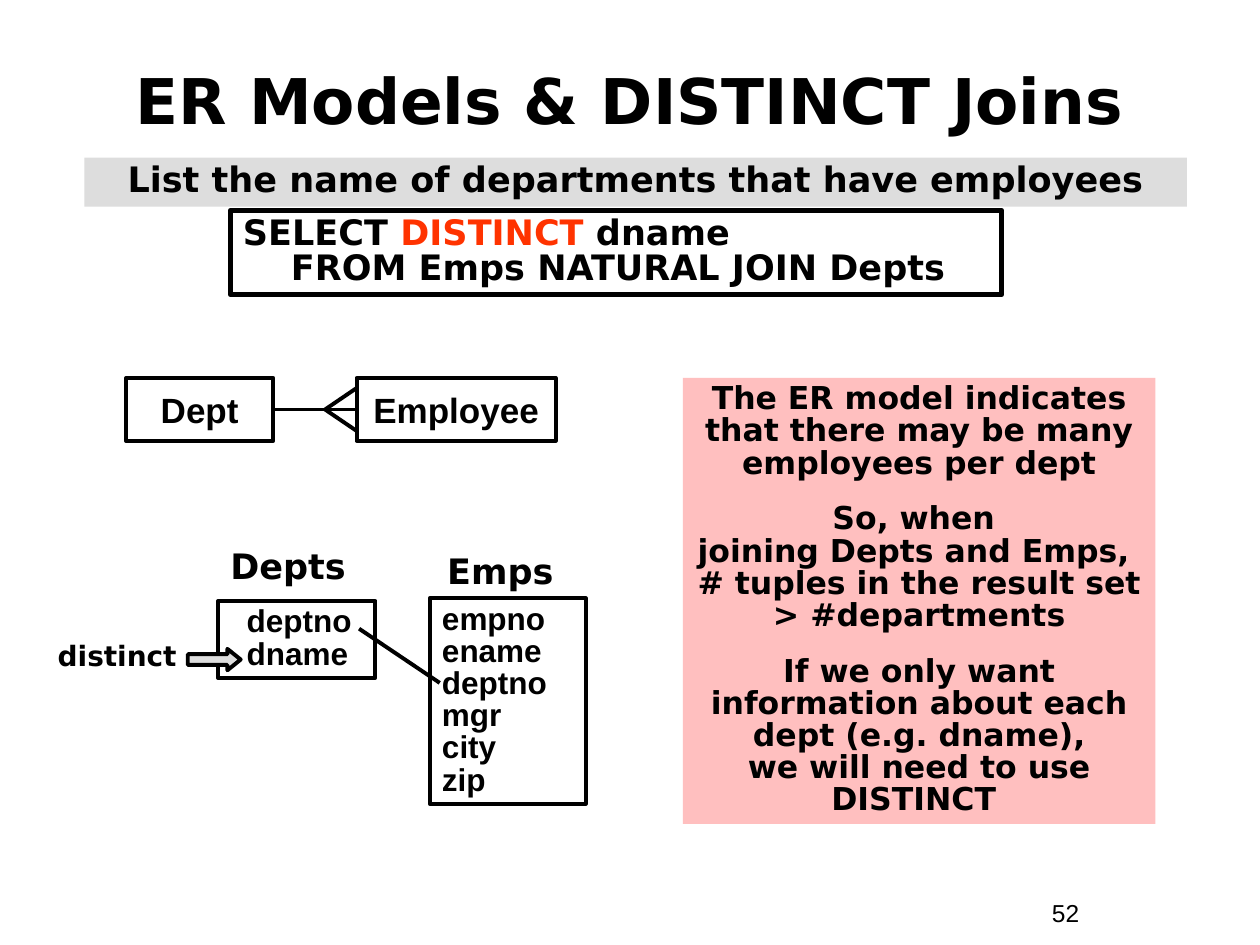
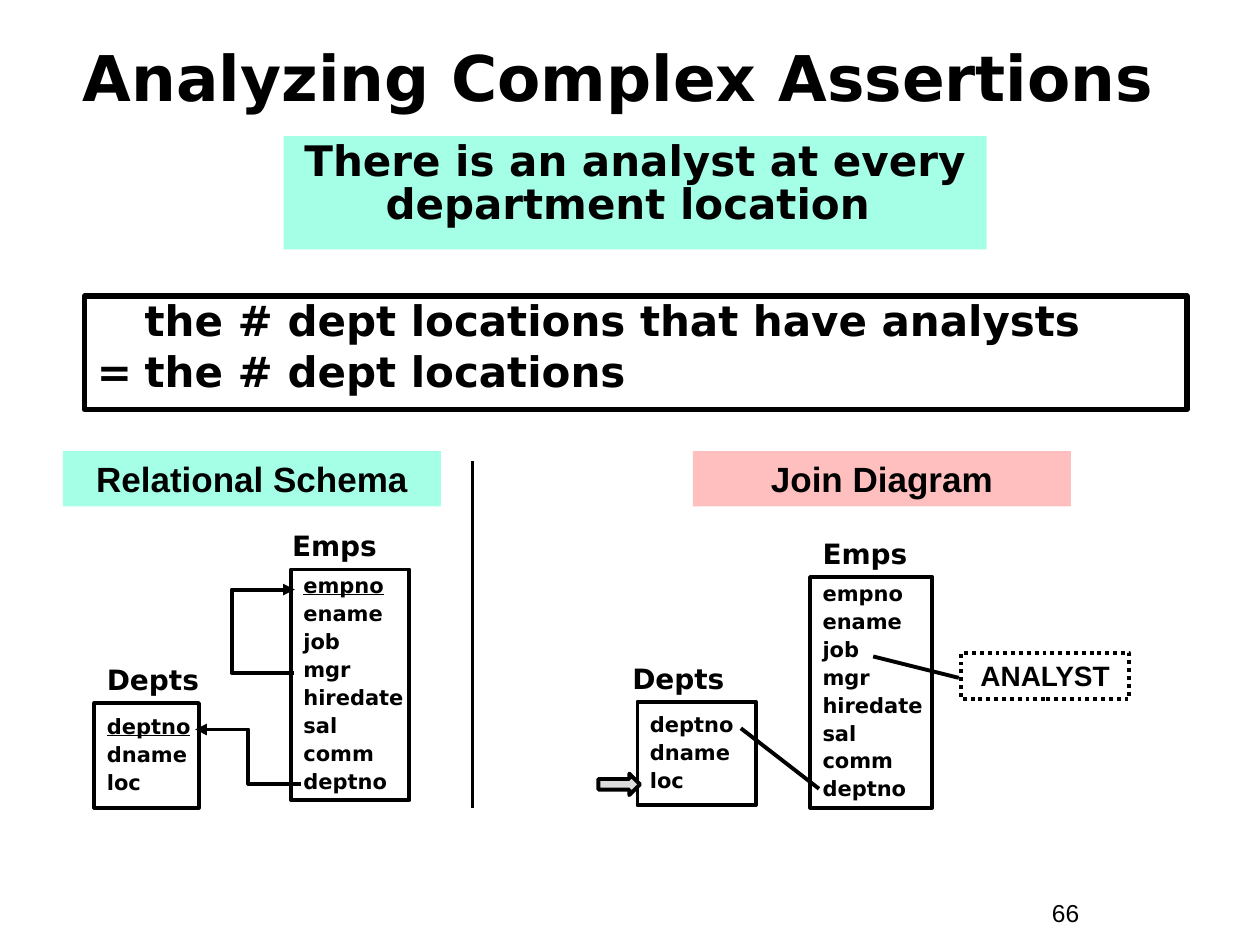
from lxml import etree
from pptx import Presentation
from pptx.dml.color import RGBColor
from pptx.enum import dml, shapes, text
from pptx.oxml import ns
from pptx.util import Inches, Pt

BLACK, GREY, MINT, PINK, RED = "000000", "DDDDDD", "A5FFE7", "FFBFBF", "FF3300"
SANS, ARIAL = "DejaVu Sans", "Arial"
LEFT, CENTER, RIGHT = text.PP_ALIGN.LEFT, text.PP_ALIGN.CENTER, text.PP_ALIGN.RIGHT
TOP, MIDDLE = text.MSO_ANCHOR.TOP, text.MSO_ANCHOR.MIDDLE
RECT, ARROW = shapes.MSO_SHAPE.RECTANGLE, shapes.MSO_SHAPE.RIGHT_ARROW
color = RGBColor.from_string


def add_box(page, at, lines=(), size=18, font=SANS, bold=True, fill=None, line=None,
            align=LEFT, anchor=TOP, spacing=1.0, before=0, margin=0, hang=0,
            right_inset=0.1, kind=RECT):
    place = [Inches(length) for length in at]
    if fill or line:
        box = page.shapes.add_shape(kind, *place)
        box.shadow.inherit = False
    else:
        box = page.shapes.add_textbox(*place)
    if fill:
        box.fill.solid()
        box.fill.fore_color.rgb = color(fill)
    else:
        box.fill.background()
    if line:
        box.line.color.rgb = color(BLACK)
        box.line.width = Pt(line)
    else:
        box.line.fill.background()
    frame = box.text_frame
    frame.word_wrap = True
    frame.vertical_anchor = anchor
    frame.margin_left, frame.margin_right = Inches(0.1), Inches(right_inset)
    frame.margin_top = frame.margin_bottom = Inches(0.05)
    for index, words in enumerate(lines):
        para = frame.add_paragraph() if index else frame.paragraphs[0]
        para.text = words
        para.alignment = align
        para.line_spacing = spacing
        if index and before:
            para.space_before = Pt(before)
        props = para._p.get_or_add_pPr()
        if margin:
            props.set("marL", str(Inches(margin)))
            props.set("indent", str(-Inches(hang)))
        if "\t" in words:
            tabs = etree.SubElement(props, ns.qn("a:tabLst"))
            etree.SubElement(tabs, ns.qn("a:tab"), pos="0", algn="l")
        para.font.size = Pt(size)
        para.font.name = font
        para.font.bold = bold
        para.font.color.rgb = color(BLACK)
    return box


def add_line(page, start, end, bend=None):
    kind = shapes.MSO_CONNECTOR.STRAIGHT if bend is None else shapes.MSO_CONNECTOR.ELBOW
    link = page.shapes.add_connector(kind, *[Inches(length) for length in start + end])
    link.line.color.rgb = color(BLACK)
    link.line.width = Pt(2.25)
    if bend is not None:
        guides = link._element.spPr.find(ns.qn("a:prstGeom")).get_or_add_avLst()
        etree.SubElement(guides, ns.qn("a:gd"), name="adj1", fmla=f"val {round(bend * 100000)}")
        etree.SubElement(link.line._get_or_add_ln(), ns.qn("a:tailEnd"), type="triangle")
    etree.SubElement(link._element.spPr, ns.qn("a:effectLst"))


deck = Presentation()
deck.slide_width, deck.slide_height = Inches(10), Inches(7.5)
pages = []
for title, number, height, spacing in [
    ("ER Models & DISTINCT Joins", "52", 0.92, 1.0),
    ("Analyzing Complex Assertions ", "66", 0.67, 0.8),
]:
    page = deck.slides.add_slide(deck.slide_layouts[6])
    add_box(page, (8.25, 7.08, 0.92, 0.34), [number], 14, ARIAL, bold=False)
    add_box(page, (0.33, 0.33, 9.33, height), [title], 36, align=CENTER,
            anchor=MIDDLE, spacing=spacing)
    pages.append(page)
joins, assertions = pages

add_box(joins, (0.67, 1.25, 8.75, 0.39), ["List the name of departments that have employees"],
        20, fill=GREY, align=CENTER, spacing=0.85, margin=0.38, hang=0.38)
query = add_box(joins, (1.83, 1.67, 6.12, 0.67), ["SELECT "], 20, line=3,
                spacing=0.85, margin=0.38, hang=0.38)
para = query.text_frame.paragraphs[0]
span = para.add_run()
span.text = "DISTINCT"
span.font.color.rgb = color(RED)
para.add_run().text = " dname"
para.add_line_break()
para.add_run().text = "FROM Emps NATURAL JOIN Depts"

for name, at in [("Depts", (1.73, 4.27, 1.2, 0.44)), ("Emps", (3.45, 4.31, 1.08, 0.44))]:
    add_box(joins, at, [name], 20)
add_box(joins, (1.73, 4.77, 1.25, 0.61), ["deptno", "dname"], 18, ARIAL, line=2.25,
        spacing=0.85, margin=0.13)
add_box(joins, (3.41, 4.75, 1.24, 1.63), ["empno", "ename", "deptno", "mgr", "city", "zip"],
        18, ARIAL, line=2.25, spacing=0.85)
add_box(joins, (0.08, 5.06, 1.42, 0.33), ["distinct"], 16, align=RIGHT, spacing=0.85)

for entity, left, width in [("Employee", 2.83, 1.58), ("Dept", 1, 1.17)]:
    add_box(joins, (left, 3, width, 0.5), [entity], 20, ARIAL, line=2.25,
            align=CENTER, anchor=MIDDLE)
for start, end in [
    ((2.85, 4.99), (3.49, 5.42)),
    ((2.82, 3.25), (2.18, 3.25)),
    ((2.58, 3.25), (2.83, 3.08)),
    ((2.58, 3.25), (2.83, 3.42)),
]:
    add_line(joins, start, end)

add_box(joins, (5.42, 3, 3.75, 3.54), [
    "The ER model indicates that there may be many employees per dept",
    "So, when \vjoining Depts and Emps, \v# tuples in the result set > #departments",
    "If we only want information about each dept (e.g. dname),\vwe will need to use DISTINCT ",
], 18, fill=PINK, align=CENTER, spacing=0.85, before=13.5)

add_box(assertions, (2.25, 1.08, 5.58, 0.9),
        ["There is an analyst at every department location "], 24, fill=MINT,
        align=CENTER, spacing=0.85)
add_box(assertions, (0.67, 2.35, 8.75, 0.9),
        ["\tthe # dept locations that have analysts", "=\tthe # dept locations"],
        24, line=3, spacing=0.85, before=4.5, margin=0.38, hang=0.38)
for heading, left, fill in [("Relational Schema", 0.5, MINT), ("Join Diagram", 5.5, PINK)]:
    add_box(assertions, (left, 3.58, 3, 0.44), [heading], 20, ARIAL, fill=fill, align=CENTER)

emps = ["empno", "ename", "job", "mgr", "hiredate", "sal", "comm", "deptno"]
depts = ["deptno", "dname", "loc"]
for name, columns, name_left, at, has_key in [
    ("Emps", emps, 2.22, (2.31, 4.52, 0.94, 1.83), True),
    ("Depts", depts, 0.75, (0.75, 5.58, 0.83, 0.83), True),
    ("Emps", emps, 6.43, (6.43, 4.58, 0.97, 1.83), False),
    ("Depts", depts, 4.92, (5.06, 5.57, 0.94, 0.82), False),
]:
    add_box(assertions, (name_left, at[1] - 0.34, 1.36, 0.34), [name], 16, spacing=0.9)
    table = add_box(assertions, at, columns, 12, line=2.25, anchor=MIDDLE,
                    spacing=0.9, before=3, right_inset=0)
    if has_key:
        table.text_frame.paragraphs[0].font.underline = True

analyst = add_box(assertions, (7.63, 5.18, 1.33, 0.37), ["ANALYST"], 16, ARIAL,
                  line=2.25, align=CENTER)
analyst.line.dash_style = dml.MSO_LINE.ROUND_DOT
for start, end, bend in [
    ((2.33, 5.34), (2.34, 4.68), -50),
    ((2.39, 6.22), (1.55, 5.79), 0.5),
    ((3.75, 3.66), (3.75, 6.41), None),
    ((5.88, 5.78), (6.5, 6.26), None),
    ((6.93, 5.21), (7.61, 5.38), None),
]:
    add_line(assertions, start, end, bend)

for page, at, head in [
    (joins, (1.49, 5.15, 0.42, 0.17), 0.62),
    (assertions, (4.75, 6.14, 0.33, 0.17), 0.5),
]:
    arrow = add_box(page, at, fill=GREY, line=2.25, kind=ARROW)
    arrow.adjustments[1] = head

deck.save("out.pptx")
